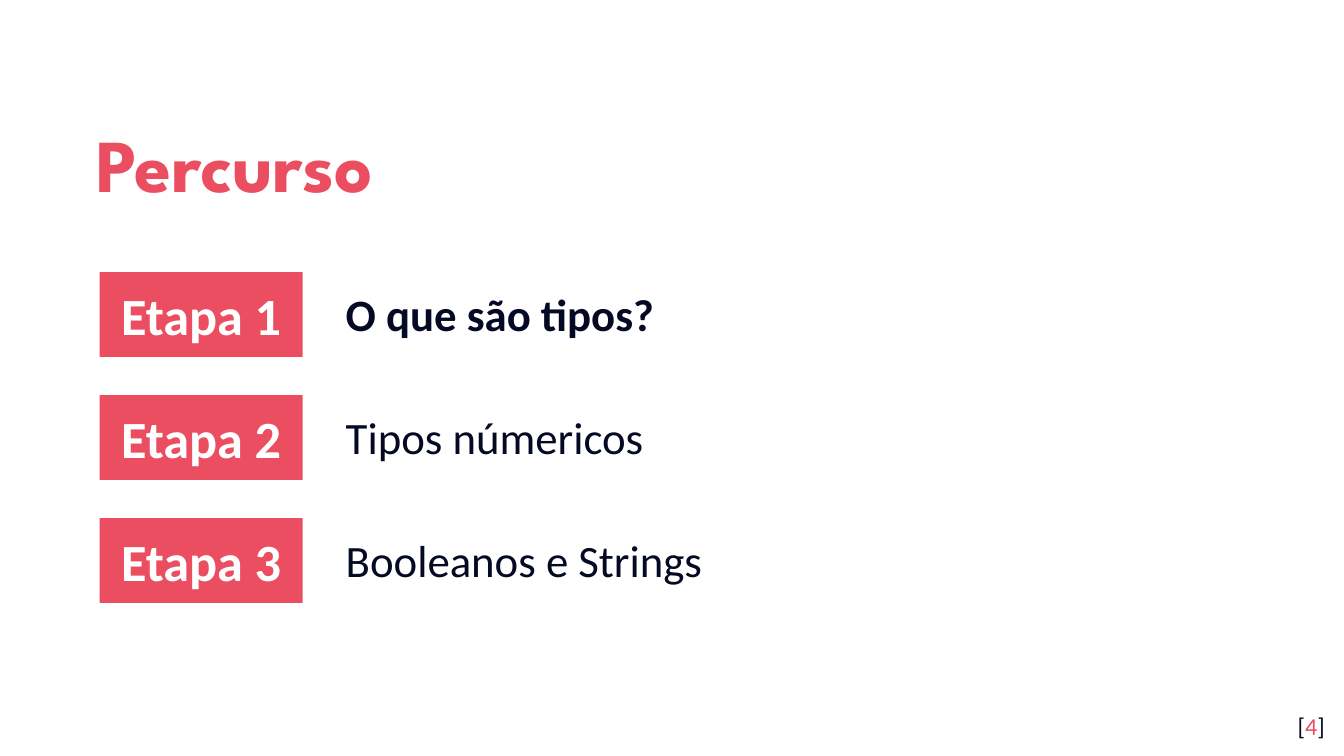
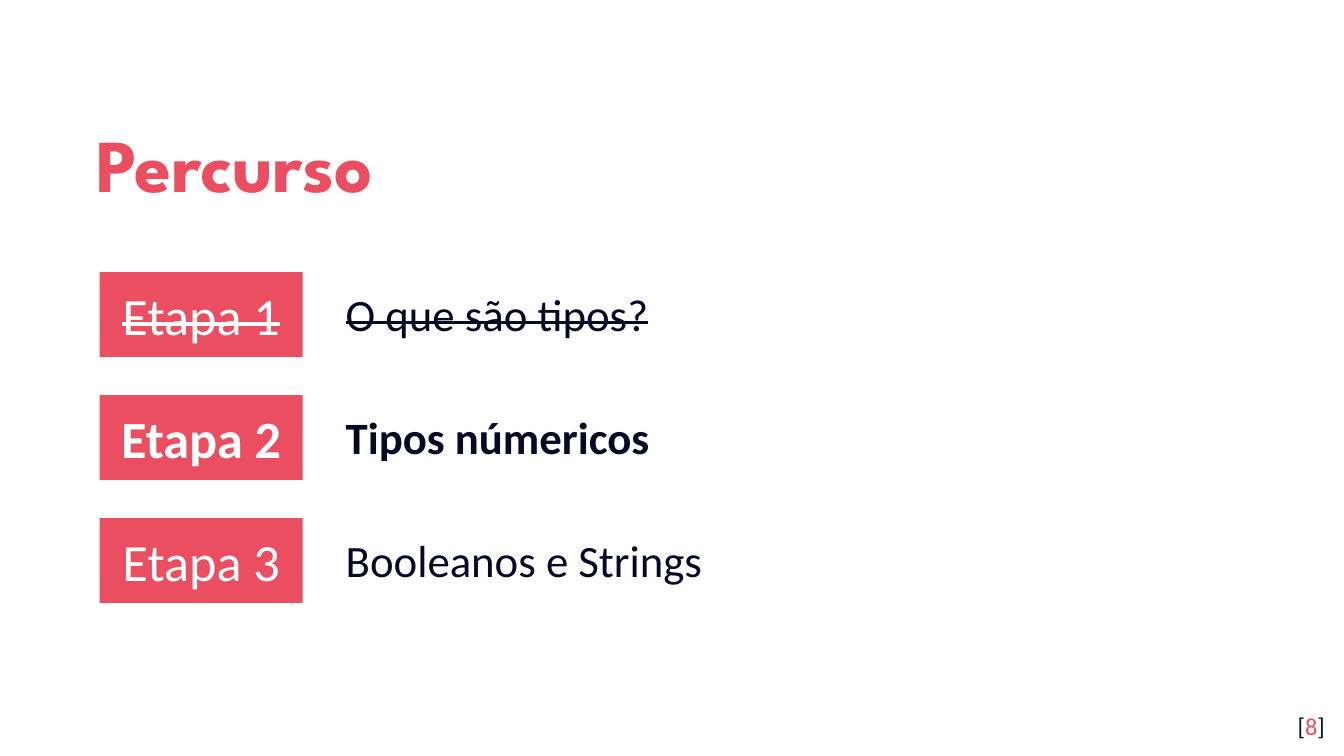
from pptx import Presentation
from pptx.dml.color import RGBColor
from pptx.enum.shapes import MSO_SHAPE
from pptx.enum.text import MSO_ANCHOR, MSO_AUTO_SIZE, PP_ALIGN
from pptx.util import Pt

COLORS = {"coral": "EA4E60", "navy": "040A24", "white": "FFFFFF"}
TOPICS = ["O que são tipos?", "Tipos númericos", "Booleanos e Strings"]
STEP_TOP, STEP_PITCH = 145.8, 65.9

# Run formats
TITLE = {"name": "League Spartan", "size": Pt(40), "bold": True, "color": "coral"}
STEP = {"name": "Calibri", "size": Pt(28), "color": "white"}
TOPIC = {"name": "Calibri", "size": Pt(24), "color": "navy"}
PAGE = {"name": "Calibri", "size": Pt(13), "color": "navy"}

# Page number, and for each step its tag format and its topic format
BOLD, PLAIN, DONE = {"bold": True}, {"bold": False}, {"bold": False, "strike": True}
ROUTES = [
    (4, [(BOLD, BOLD), (BOLD, PLAIN), (BOLD, PLAIN)]),
    (8, [(DONE, DONE), (BOLD, BOLD), (PLAIN, PLAIN)]),
]


def add_run(paragraph, text, style):
    run = paragraph.add_run()
    run.text = text
    for key, value in style.items():
        if key == "color":
            run.font.color.rgb = RGBColor.from_string(COLORS[value])
        elif key == "strike":
            run._r.get_or_add_rPr().set("strike", "sngStrike")
        else:
            setattr(run.font, key, value)


def set_frame(shape, alignment, **settings):
    frame = shape.text_frame
    for key, value in settings.items():
        setattr(frame, key, value)
    frame.paragraphs[0].alignment = alignment
    return frame.paragraphs[0]


inset = Pt(7.2)
even_margins = {f"margin_{side}": inset for side in ("left", "top", "right", "bottom")}

prs = Presentation()
prs.slide_width, prs.slide_height = Pt(720), Pt(405)

for page, step_formats in ROUTES:
    slide = prs.slides.add_slide(prs.slide_layouts[5])

    # Title
    title = slide.shapes.title
    title.left, title.top, title.width, title.height = Pt(44.6), Pt(50.4), Pt(583.2), Pt(66.2)
    heading = set_frame(title, PP_ALIGN.LEFT, vertical_anchor=MSO_ANCHOR.MIDDLE, word_wrap=True,
                        auto_size=MSO_AUTO_SIZE.NONE, **even_margins)
    heading.line_spacing = 1.15
    add_run(heading, "Percurso", TITLE)

    # Steps: coloured tag and topic
    for index, (topic, (tag_format, topic_format)) in enumerate(zip(TOPICS, step_formats)):
        top = STEP_TOP + index * STEP_PITCH
        tag = slide.shapes.add_shape(MSO_SHAPE.RECTANGLE, Pt(53.4), Pt(top), Pt(108.7), Pt(45.4))
        tag.shadow.inherit = False
        tag.fill.solid()
        tag.fill.fore_color.rgb = RGBColor.from_string(COLORS["coral"])
        tag.line.fill.background()
        step = set_frame(tag, PP_ALIGN.CENTER, vertical_anchor=MSO_ANCHOR.MIDDLE,
                         word_wrap=True, **even_margins)
        add_run(step, f"Etapa {index + 1}", STEP | tag_format)

        left, right = Pt(178.1), Pt(664.1)
        upper, lower = Pt(top + 4.4), Pt(top + 40.4)
        outline = slide.shapes.build_freeform(left, upper)
        outline.add_line_segments([(right, upper), (right, lower), (left, lower)], close=True)
        label = outline.convert_to_shape()
        label.shadow.inherit = False
        label.fill.background()
        label.line.fill.background()
        entry = set_frame(label, PP_ALIGN.LEFT, vertical_anchor=MSO_ANCHOR.TOP, word_wrap=True)
        hanging = entry._p.get_or_add_pPr()
        hanging.set("marL", str(Pt(36)))
        hanging.set("indent", str(-Pt(36)))
        add_run(entry, topic, TOPIC | topic_format)

    # Page number
    footer = slide.shapes.add_textbox(Pt(673.6), Pt(373.7), Pt(43.2), Pt(31))
    number = set_frame(footer, PP_ALIGN.RIGHT, word_wrap=True, **even_margins)
    for text, color in (("[", "navy"), (str(page), "coral"), ("]", "navy")):
        add_run(number, text, PAGE | {"color": color})

prs.save("out.pptx")
